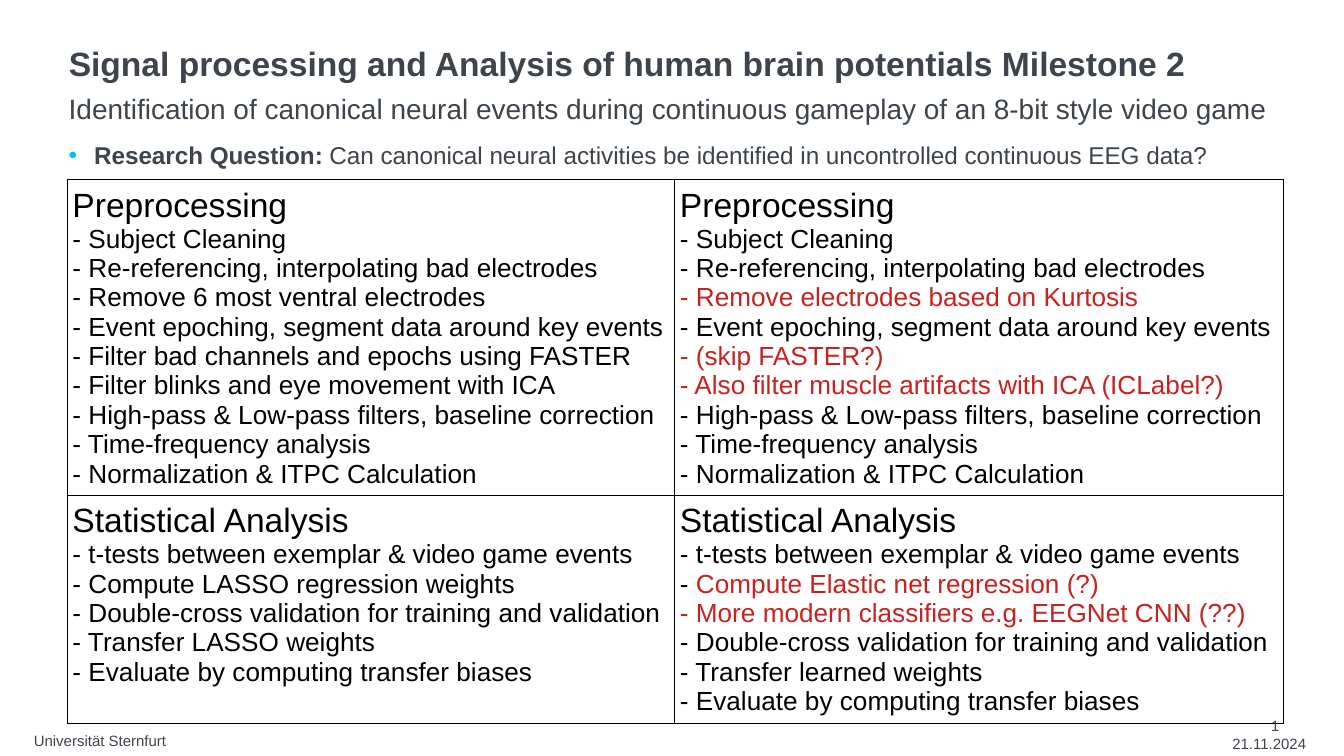
import pptx
import pptx.util
import pptx.dml.color
import pptx.enum.text
import pptx.oxml
import pptx.oxml.ns
from pptx.util import Cm

COLORS = {"text": "3E444C", "bullet": "00BEFF", "black": "000000", "changed": "C9211E"}
FONT = "Arial"
LEFT, WIDTH = Cm(1.3), Cm(22.91)

# Table content: the part of a line after "|" is a proposed change
CELLS = [
    [
        ["Preprocessing",
         "- Subject Cleaning",
         "- Re-referencing, interpolating bad electrodes",
         "- Remove 6 most ventral electrodes",
         "- Event epoching, segment data around key events",
         "- Filter bad channels and epochs using FASTER",
         "- Filter blinks and eye movement with ICA",
         "- High-pass & Low-pass filters, baseline correction",
         "- Time-frequency analysis",
         "- Normalization & ITPC Calculation"],
        ["Preprocessing",
         "- Subject Cleaning",
         "- Re-referencing, interpolating bad electrodes",
         "|- Remove electrodes based on Kurtosis",
         "- Event epoching, segment data around key events",
         "|- (skip FASTER?)",
         "|- Also filter muscle artifacts with ICA (ICLabel?)",
         "- High-pass & Low-pass filters, baseline correction",
         "- Time-frequency analysis",
         "- Normalization & ITPC Calculation"],
    ],
    [
        ["Statistical Analysis",
         "- t-tests between exemplar & video game events",
         "- Compute LASSO regression weights",
         "- Double-cross validation for training and validation",
         "- Transfer LASSO weights",
         "- Evaluate by computing transfer biases"],
        ["Statistical Analysis",
         "- t-tests between exemplar & video game events",
         "- |Compute Elastic net regression (?)",
         "|- More modern classifiers e.g. EEGNet CNN (??)",
         "- Double-cross validation for training and validation",
         "- Transfer learned weights",
         "- Evaluate by computing transfer biases"],
    ],
]


def rgb(name):
    return pptx.dml.color.RGBColor.from_string(COLORS[name])


def style_font(font, size, color="text", bold=None):
    font.name = FONT
    font.size = pptx.util.Pt(size)
    font.color.rgb = rgb(color)
    font.bold = bold


def clear_margins(frame):
    frame.margin_left = frame.margin_right = frame.margin_top = frame.margin_bottom = 0
    frame.word_wrap = True
    frame.auto_size = pptx.enum.text.MSO_AUTO_SIZE.NONE


def set_title(slide, text):
    title = slide.shapes.title
    title.left, title.top, title.width, title.height = LEFT, Cm(0.89), WIDTH, Cm(0.71)
    frame = title.text_frame
    clear_margins(frame)
    frame.vertical_anchor = pptx.enum.text.MSO_ANCHOR.MIDDLE
    frame.text = text
    paragraph = frame.paragraphs[0]
    paragraph.alignment = pptx.enum.text.PP_ALIGN.LEFT
    paragraph.line_spacing = 0.9
    style_font(paragraph.font, 18, bold=True)


def add_text(slide, left, top, width, height, text, size):
    shape = slide.shapes.add_textbox(left, top, width, height)
    clear_margins(shape.text_frame)
    paragraph = shape.text_frame.paragraphs[0]
    paragraph.add_run().text = text
    style_font(paragraph.font, size)
    return paragraph


def space_body(paragraph):
    paragraph.line_spacing = 1.2
    paragraph.space_before = pptx.util.Pt(7.5)


def add_bullet(paragraph):
    properties = paragraph._p.get_or_add_pPr()
    properties.set("marL", str(Cm(0.48)))
    properties.set("indent", str(-Cm(0.48)))
    namespace = pptx.oxml.ns.nsdecls("a")
    default_font = properties.find(pptx.oxml.ns.qn("a:defRPr"))
    for xml in (
        f'<a:buClr {namespace}><a:srgbClr val="{COLORS["bullet"]}"/></a:buClr>',
        f'<a:buFont {namespace} typeface="{FONT}"/>',
        f'<a:buChar {namespace} char="•"/>',
    ):
        default_font.addprevious(pptx.oxml.parse_xml(xml))


def add_borders(cell):
    properties = cell._tc.get_or_add_tcPr()
    for index, side in enumerate(("lnL", "lnR", "lnT", "lnB")):
        properties.insert(index, pptx.oxml.parse_xml(
            f'<a:{side} {pptx.oxml.ns.nsdecls("a")} w="{pptx.util.Pt(0.57)}">'
            f'<a:solidFill><a:srgbClr val="{COLORS["black"]}"/></a:solidFill></a:{side}>'))


def fill_cell(cell, lines):
    cell.margin_left = cell.margin_right = Cm(0.1)
    cell.margin_top = cell.margin_bottom = Cm(0.13)
    cell.fill.background()
    add_borders(cell)
    for index, line in enumerate(lines):
        frame = cell.text_frame
        paragraph = frame.paragraphs[0] if index == 0 else frame.add_paragraph()
        style_font(paragraph.font, 18 if index == 0 else 14, "black")
        kept, _, changed = line.partition("|")
        for text, color in ((kept, "black"), (changed, "changed")):
            if text:
                run = paragraph.add_run()
                run.text = text
                run.font.color.rgb = rgb(color)


def add_comparison_table(slide):
    widths, heights = (Cm(11.48), Cm(11.5)), (Cm(5.92), Cm(4.29))
    table = slide.shapes.add_table(
        len(heights), len(widths), Cm(1.27), Cm(3.4), sum(widths), sum(heights)).table
    table.first_row = table.horz_banding = False
    for column, width in zip(table.columns, widths):
        column.width = width
    for row, height in zip(table.rows, heights):
        row.height = height
    for row_index, row in enumerate(CELLS):
        for column_index, lines in enumerate(row):
            fill_cell(table.cell(row_index, column_index), lines)


def main():
    presentation = pptx.Presentation()
    presentation.slide_width, presentation.slide_height = Cm(25.4), Cm(14.29)
    slide = presentation.slides.add_slide(presentation.slide_layouts[5])

    # Heading and research question
    set_title(slide, "Signal processing and Analysis of human brain potentials Milestone 2")
    subtitle = add_text(
        slide, LEFT, Cm(1.6), WIDTH, Cm(1.65),
        "Identification of canonical neural events during continuous gameplay "
        "of an 8-bit style video game", 15)
    space_body(subtitle)
    question = add_text(slide, LEFT, Cm(2.54), WIDTH, Cm(9.22), "Research Question:", 13)
    question.runs[0].font.bold = True
    question.add_run().text = (
        " Can canonical neural activities be identified in uncontrolled continuous EEG data?")
    space_body(question)
    add_bullet(question)

    # Footer
    add_text(slide, Cm(23.29), Cm(13.89), Cm(1.47), Cm(0.08), "21.11.2024", 8)
    add_text(slide, Cm(0.64), Cm(13.82), Cm(17.15), Cm(0.08), "Universität Sternfurt", 8)

    # Planned steps on the left, proposed changes on the right
    add_comparison_table(slide)

    # Slide number
    number = add_text(slide, Cm(23.57), Cm(13.54), Cm(0.61), Cm(0.33), "1", 8)
    number.alignment = pptx.enum.text.PP_ALIGN.RIGHT

    presentation.save("out.pptx")


if __name__ == "__main__":
    main()
